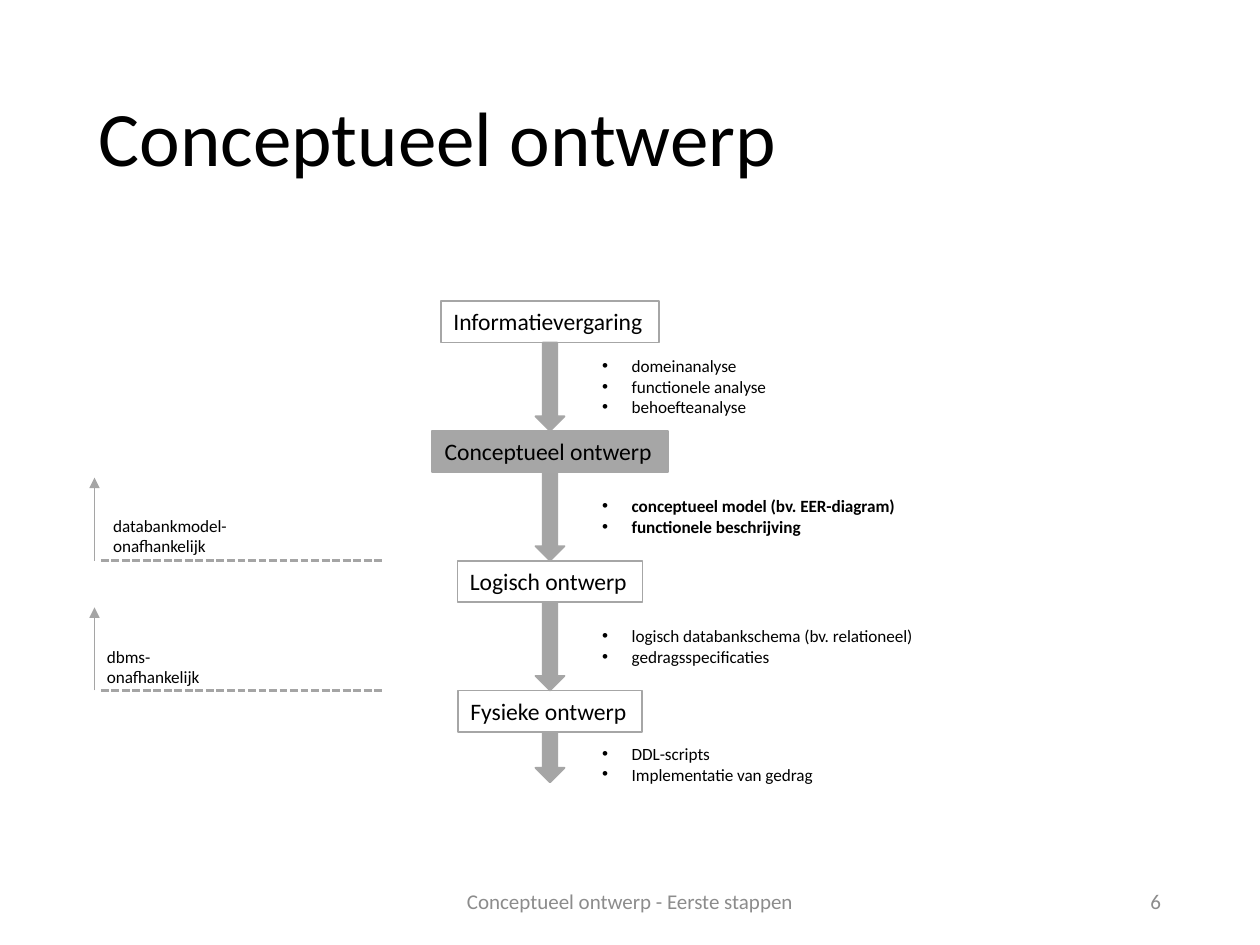
from dataclasses import dataclass
from typing import Optional

from lxml.etree import SubElement
from pptx import Presentation
from pptx.dml.color import RGBColor
from pptx.enum.dml import MSO_LINE
from pptx.enum.shapes import MSO_CONNECTOR, MSO_SHAPE
from pptx.enum.text import MSO_ANCHOR, PP_ALIGN
from pptx.oxml.ns import qn
from pptx.shapes.autoshape import Shape
from pptx.shapes.connector import Connector
from pptx.slide import Slide
from pptx.util import Pt

BLACK = RGBColor(0x00, 0x00, 0x00)
WHITE = RGBColor(0xFF, 0xFF, 0xFF)
OUTLINE = RGBColor(0xA6, 0xA6, 0xA6)
ARROW = RGBColor(0xA5, 0xA5, 0xA5)
FOOTER = RGBColor(0x8C, 0x8C, 0x8C)
FONT = "Calibri"
CENTER = 314.3
FIRST_TOP = 172.1
PITCH = 74.16
BOX_HEIGHT = 23.7
ARROW_WIDTH = 16.6
LINE_HEIGHT = 11.8
PADDING = 7.2
NOTE_SIZE = 9.75
INDENT = 16.9


@dataclass(frozen=True)
class Stage:
    """A design stage with the results it delivers."""

    name: str
    width: float
    results: tuple[str, ...]
    results_width: float
    fill: Optional[RGBColor] = None
    bold: bool = False
    arrow_length: float = PITCH - BOX_HEIGHT


@dataclass(frozen=True)
class Boundary:
    """An independence boundary above a stage."""

    stage_index: int
    lines: tuple[str, ...]
    left: float
    top: float
    width: float


STAGES = (
    Stage("Informatievergaring", 124.6,
          ("domeinanalyse", "functionele analyse", "behoefteanalyse"), 109.4, WHITE),
    Stage("Conceptueel ontwerp", 134.6,
          ("conceptueel model (bv. EER-diagram)", "functionele beschrijving"),
          185, OUTLINE, True),
    Stage("Logisch ontwerp", 105.8,
          ("logisch databankschema (bv. relationeel)", "gedragsspecificaties"), 195.1),
    Stage("Fysieke ontwerp", 105.1,
          ("DDL-scripts", "Implementatie van gedrag"), 136.8, arrow_length=28.8),
)
BOUNDARIES = (
    Boundary(2, ("databankmodel-", "onafhankelijk"), 57.6, 290.9, 79.9),
    Boundary(3, ("dbms-", "onafhankelijk"), 54, 365.8, 68.4),
)


def stage_top(index: int) -> float:
    """Return the top of the stage at this index."""
    return FIRST_TOP + index * PITCH


def write_lines(shape: Shape, lines: tuple[str, ...], size: float,
                color: RGBColor = BLACK, bold: bool = False, bulleted: bool = False,
                alignment: PP_ALIGN = PP_ALIGN.LEFT, wrap: bool = False,
                anchor: MSO_ANCHOR = MSO_ANCHOR.TOP, spacing: float = 1.0) -> None:
    """Write one paragraph per line into a shape."""
    frame = shape.text_frame
    frame.word_wrap = wrap
    frame.vertical_anchor = anchor
    for index, line in enumerate(lines):
        paragraph = frame.add_paragraph() if index else frame.paragraphs[0]
        paragraph.alignment = alignment
        paragraph.line_spacing = spacing
        if bulleted:
            properties = paragraph._p.get_or_add_pPr()
            properties.set("marL", str(Pt(INDENT)))
            properties.set("indent", str(-Pt(INDENT)))
            SubElement(properties, qn("a:buFont"), typeface="Arial")
            SubElement(properties, qn("a:buChar"), char="•")
        run = paragraph.add_run()
        run.text = line
        run.font.name = FONT
        run.font.size = Pt(size)
        run.font.bold = bold
        run.font.color.rgb = color


def add_text(slide: Slide, left: float, top: float, width: float, height: float) -> Shape:
    """Add an empty text box."""
    return slide.shapes.add_textbox(Pt(left), Pt(top), Pt(width), Pt(height))


def add_block(slide: Slide, kind: MSO_SHAPE, top: float, width: float,
              height: float, fill: Optional[RGBColor]) -> Shape:
    """Add an outlined shape centred on the flow axis."""
    shape = slide.shapes.add_shape(kind, Pt(CENTER - width / 2), Pt(top),
                                   Pt(width), Pt(height))
    shape.shadow.inherit = False
    if fill is None:
        shape.fill.background()
    else:
        shape.fill.solid()
        shape.fill.fore_color.rgb = fill
    shape.line.color.rgb = OUTLINE
    shape.line.width = Pt(1)
    return shape


def add_line(slide: Slide, start: tuple[float, float], end: tuple[float, float],
             width: float) -> Connector:
    """Add a straight line without a shadow."""
    line = slide.shapes.add_connector(MSO_CONNECTOR.STRAIGHT, Pt(start[0]),
                                      Pt(start[1]), Pt(end[0]), Pt(end[1]))
    line.line.color.rgb = ARROW
    line.line.width = Pt(width)
    SubElement(line._element.spPr, qn("a:effectLst"))
    return line


def add_stage(slide: Slide, index: int, stage: Stage) -> None:
    """Draw a stage box, its arrow and its results."""
    top = stage_top(index)
    box = add_block(slide, MSO_SHAPE.RECTANGLE, top, stage.width, BOX_HEIGHT, stage.fill)
    write_lines(box, (stage.name,), 13.5)
    bottom = top + BOX_HEIGHT
    add_block(slide, MSO_SHAPE.DOWN_ARROW, bottom, ARROW_WIDTH, stage.arrow_length, ARROW)
    height = len(stage.results) * LINE_HEIGHT + PADDING
    middle = bottom + stage.arrow_length / 2
    if index == len(STAGES) - 1:
        middle += 4
    results = add_text(slide, 337, middle - height / 2, stage.results_width, height)
    write_lines(results, stage.results, NOTE_SIZE, bold=stage.bold, bulleted=True)


def add_boundary(slide: Slide, boundary: Boundary) -> None:
    """Draw a dashed boundary with its upward arrow and label."""
    level = stage_top(boundary.stage_index)
    dashes = add_line(slide, (57.6, level), (218.2, level), 1.5)
    dashes.line.dash_style = MSO_LINE.SQUARE_DOT
    arrow = add_line(slide, (54, level), (54, level - 47.5), 1)
    SubElement(arrow.line._get_or_add_ln(), qn("a:tailEnd"), type="triangle")
    label = add_text(slide, boundary.left, boundary.top, boundary.width,
                     len(boundary.lines) * LINE_HEIGHT + PADDING)
    write_lines(label, boundary.lines, NOTE_SIZE)


def main() -> None:
    """Build and save the slide."""
    presentation = Presentation()
    presentation.slide_width = Pt(720)
    presentation.slide_height = Pt(540)
    slide = presentation.slides.add_slide(presentation.slide_layouts[6])
    title = add_text(slide, 49.5, 28.8, 621, 104.4)
    write_lines(title, ("Conceptueel ontwerp",), 44, wrap=True,
                anchor=MSO_ANCHOR.MIDDLE, spacing=0.9)
    for index, stage in enumerate(STAGES):
        add_stage(slide, index, stage)
    for boundary in BOUNDARIES:
        add_boundary(slide, boundary)
    footer = add_text(slide, 238.5, 500.5, 243, 28.8)
    write_lines(footer, ("Conceptueel ontwerp - Eerste stappen",), 12, FOOTER,
                alignment=PP_ALIGN.CENTER, wrap=True, anchor=MSO_ANCHOR.MIDDLE)
    number = add_text(slide, 508.5, 500.5, 162, 28.8)
    write_lines(number, ("6",), 12, FOOTER, alignment=PP_ALIGN.RIGHT,
                wrap=True, anchor=MSO_ANCHOR.MIDDLE)
    presentation.save("out.pptx")


if __name__ == "__main__":
    main()
